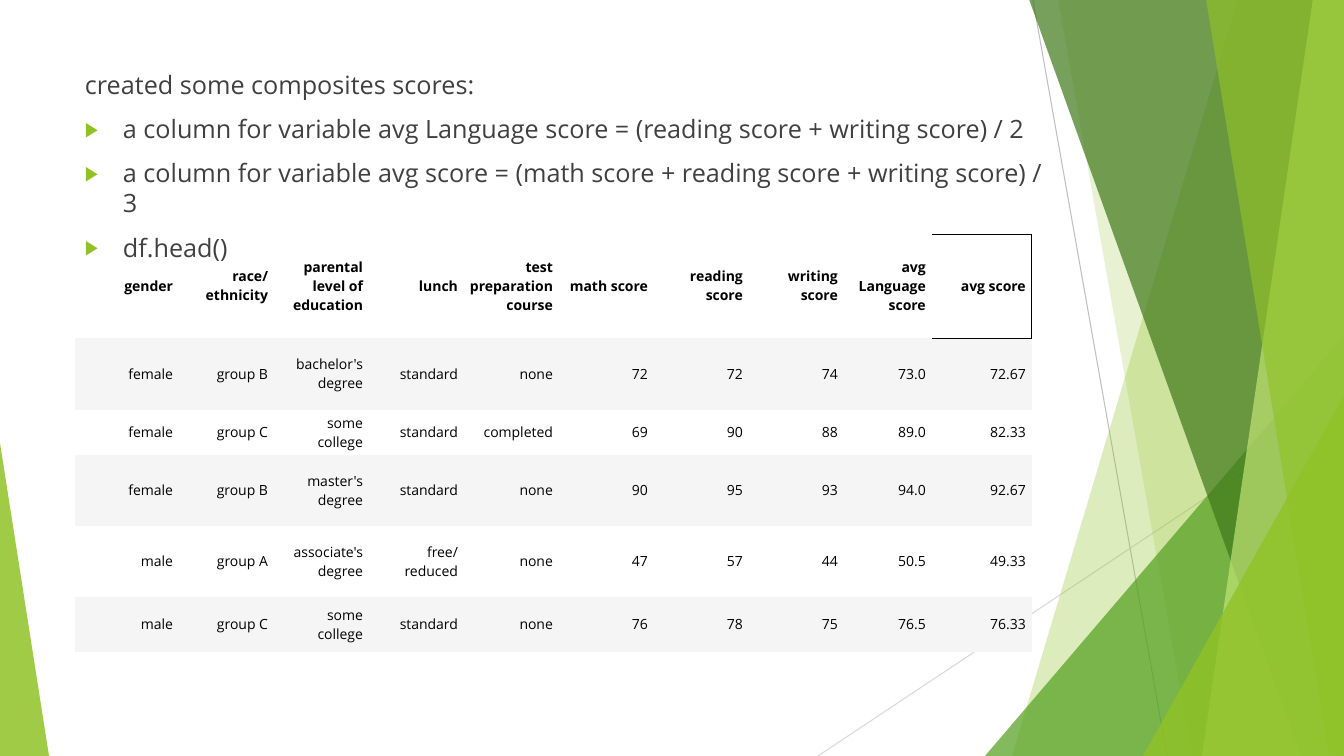
from lxml.etree import SubElement
from pptx import Presentation
from pptx.dml.color import RGBColor
from pptx.enum.shapes import MSO_CONNECTOR, MSO_SHAPE
from pptx.enum.text import MSO_ANCHOR, PP_ALIGN
from pptx.oxml.ns import qn
from pptx.util import Pt

PX = 914400 / 100.8
W, H = 1344, 756
FONT = "Open Sans"
LIME = RGBColor(0x90, 0xC2, 0x26)
GREEN = RGBColor(0x54, 0xA0, 0x21)
DARK_GREEN = RGBColor(0x3F, 0x78, 0x19)
PALE_LIME = RGBColor(0xC0, 0xE4, 0x74)
BLACK = RGBColor(0, 0, 0)
TEXT_GREY = RGBColor(0x40, 0x40, 0x40)
BAND_GREY = RGBColor(0xF5, 0xF5, 0xF5)
LINE_GREY = RGBColor(0xBF, 0xBF, 0xBF)
LIGHT_LINE = RGBColor(0xD9, 0xD9, 0xD9)
NO_STYLE = "{2D5ABB26-0587-4C30-8999-92F81FD0307C}"


def px(n):
    return round(n * PX)


class Deck:
    def __init__(self, slide, font):
        self.shapes = slide.shapes
        self.font = font

    def paint(self, s, color, opacity):
        s.shadow.inherit = False
        s.line.fill.background()
        s.fill.solid()
        s.fill.fore_color.rgb = color
        clr = s._element.spPr.find(qn("a:solidFill"))[0]
        SubElement(clr, qn("a:alpha"), val=str(opacity * 1000))

    def line(self, x1, y1, x2, y2, color):
        s = self.shapes.add_connector(
            MSO_CONNECTOR.STRAIGHT, px(x1), px(y1), px(x2), px(y2))
        s.line.color.rgb = color
        s.line.width = Pt(0.75)
        SubElement(s._element.spPr, qn("a:effectLst"))

    def facet(self, top, bottom, color, opacity):
        """Band from a slanted left edge to the right side of the slide."""
        fb = self.shapes.build_freeform(top, -1, scale=PX)
        fb.add_line_segments([(W, -1), (W, H), (bottom, H)], close=True)
        self.paint(fb.convert_to_shape(), color, opacity)

    def triangle(self, x, y, w, h, apex, color, opacity):
        s = self.shapes.add_shape(
            MSO_SHAPE.ISOSCELES_TRIANGLE, px(x), px(y), px(w), px(h))
        s.adjustments[0] = apex
        self.paint(s, color, opacity)

    def run(self, p, text, size, color, bold=False):
        r = p.add_run()
        r.text = text
        r.font.name = self.font
        r.font.size = Pt(size)
        r.font.bold = bold
        r.font.color.rgb = color

    def bullet(self, p):
        pPr = p._p.get_or_add_pPr()
        pPr.set("marL", str(px(38)))
        pPr.set("indent", str(px(-38)))
        clr = SubElement(pPr, qn("a:buClr"))
        SubElement(clr, qn("a:srgbClr"), val=str(LIME))
        SubElement(pPr, qn("a:buSzPct"), val="80000")
        SubElement(pPr, qn("a:buFont"), typeface=self.font)
        SubElement(pPr, qn("a:buChar"), char="\u25b6")

    def body(self, x, y, w, h, intro, bullets):
        tf = self.shapes.add_textbox(px(x), px(y), px(w), px(h)).text_frame
        tf.word_wrap = True
        for i, text in enumerate([intro, *bullets]):
            p = tf.add_paragraph() if i else tf.paragraphs[0]
            p.space_before = Pt(10 if i else 0)
            if i:
                self.bullet(p)
            self.run(p, text, 18, TEXT_GREY)

    def table(self, x, y, widths, heights, rows, banded):
        s = self.shapes.add_table(len(rows), len(widths), px(x), px(y),
                                  px(sum(widths)), px(sum(heights)))
        tbl = s.table
        tbl.horz_banding = False
        s._element.find(".//" + qn("a:tableStyleId")).text = NO_STYLE
        for col, width in zip(tbl.columns, widths):
            col.width = px(width)
        for i, (row, height) in enumerate(zip(rows, heights)):
            tbl.rows[i].height = px(height)
            for j, text in enumerate(row):
                self.cell(tbl.cell(i, j), text, i == 0, i in banded)
        return tbl

    def cell(self, cell, text, bold, banded):
        cell.margin_left, cell.margin_right = px(5), px(6)
        cell.margin_top = cell.margin_bottom = px(3)
        cell.vertical_anchor = MSO_ANCHOR.MIDDLE
        if banded:
            cell.fill.solid()
            cell.fill.fore_color.rgb = BAND_GREY
        else:
            cell.fill.background()
        p = cell.text_frame.paragraphs[0]
        p.alignment = PP_ALIGN.RIGHT
        self.run(p, text, 10, BLACK, bold)

    def border(self, cell, sides):
        tcPr = cell._tc.get_or_add_tcPr()
        for i, side in enumerate(sides):
            ln = SubElement(tcPr, qn("a:ln" + side), w=str(Pt(0.75)))
            fill = SubElement(ln, qn("a:solidFill"))
            SubElement(fill, qn("a:srgbClr"), val=str(BLACK))
            tcPr.insert(i, ln)


prs = Presentation()
prs.slide_width, prs.slide_height = px(W), px(H)
deck = Deck(prs.slides.add_slide(prs.slide_layouts[6]), FONT)

# Faceted background
deck.line(1033, 0, 1167, H, LINE_GREY)
deck.line(W, 406, 818, H, LIGHT_LINE)
deck.facet(1238, 1012, LIME, 30)
deck.facet(1058, 1192, LIME, 20)
deck.triangle(985, 336, 359, 420, 1, GREEN, 72)
deck.facet(1029, 1301, DARK_GREEN, 70)
deck.facet(1313, 1202, PALE_LIME, 70)
deck.facet(1206, 1329, LIME, 65)
deck.triangle(1143, 396, 201, 360, 1, LIME, 80)
deck.triangle(0, 443, 49, 313, 0, LIME, 85)

# Composite score notes
deck.body(75, 64, 992, 603, "created some composites scores:", [
    "a column for variable avg Language score = (reading score + writing score) / 2",
    "a column for variable avg score = (math score + reading score + writing score) / 3",
    "df.head()",
])

# First rows of the data frame
ROWS = [
    ["gender", "race/ethnicity", "parental level of education", "lunch",
     "test preparation course", "math score", "reading score",
     "writing score", "avg Language score", "avg score"],
    ["female", "group B", "bachelor's degree", "standard", "none",
     "72", "72", "74", "73.0", "72.67"],
    ["female", "group C", "some college", "standard", "completed",
     "69", "90", "88", "89.0", "82.33"],
    ["female", "group B", "master's degree", "standard", "none",
     "90", "95", "93", "94.0", "92.67"],
    ["male", "group A", "associate's degree", "free/reduced", "none",
     "47", "57", "44", "50.5", "49.33"],
    ["male", "group C", "some college", "standard", "none",
     "76", "78", "75", "76.5", "76.33"],
]
head = deck.table(75, 234, [104] + [95] * 7 + [88, 100],
                  [104, 72, 45, 71, 71, 55], ROWS, banded={1, 3, 5})
deck.border(head.cell(0, 9), "RTB")

prs.save("out.pptx")
